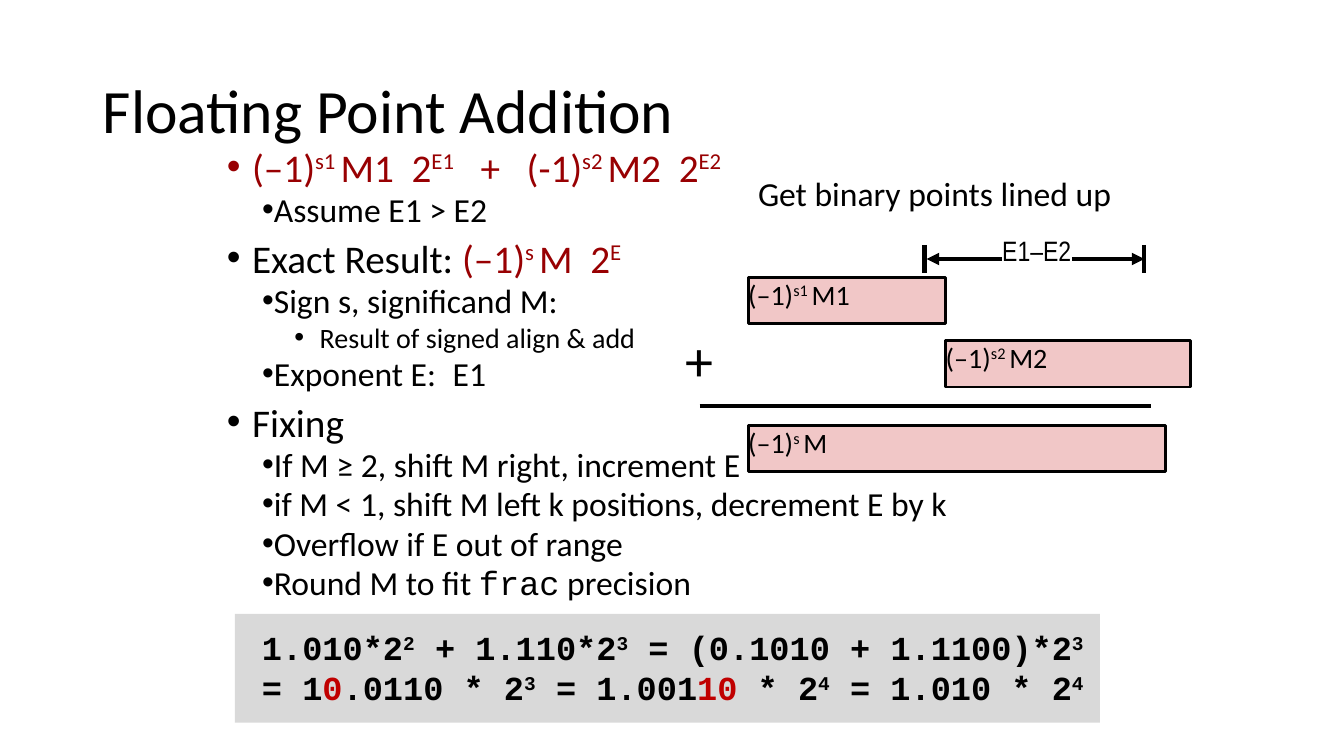
from lxml import etree
from pptx import Presentation
from pptx.dml.color import RGBColor
from pptx.enum import shapes, text
from pptx.oxml import ns
from pptx.util import Inches, Pt

BLACK = RGBColor(0x00, 0x00, 0x00)
WHITE = RGBColor(0xFF, 0xFF, 0xFF)
MAROON = RGBColor(0x98, 0x00, 0x02)
RED = RGBColor(0xC0, 0x00, 0x00)
PINK = RGBColor(0xF1, 0xC7, 0xC7)
GRAY = RGBColor(0xD9, 0xD9, 0xD9)
SANS, NARROW, MONO = "Calibri", "Arial Narrow", "Courier New"

UP = {"raised": 32}
POWER = {"raised": 30}
FORMULA = {"color": MAROON}
FORMULA_UP = {"color": MAROON, "raised": 32}
CARRY = {"color": RED}

TITLE = "Floating Point Addition"
OUTLINE = [
    (0, [("(–1)", FORMULA), ("s1 ", FORMULA_UP), ("M1  2", FORMULA), ("E1", FORMULA_UP),
         ("   +   (-1)", FORMULA), ("s2 ", FORMULA_UP), ("M2  2", FORMULA), ("E2", FORMULA_UP)]),
    (1, [("Assume E1 > E2", {})]),
    (0, [("Exact Result: ", {}), ("(–1)", FORMULA), ("s ", FORMULA_UP),
         ("M  2", FORMULA), ("E", FORMULA_UP)]),
    (1, [("Sign s, significand M:", {})]),
    (2, [("Result of signed align & add", {})]),
    (1, [("Exponent E: \tE1", {})]),
    (0, [("Fixing", {})]),
    (1, [("If M ≥ 2, shift M right, increment E", {})]),
    (1, [("if M < 1, shift M left k positions, decrement E by k", {})]),
    (1, [("Overflow if E out of range", {})]),
    (1, [("Round M to fit ", {}), ("frac", {"font": MONO}), (" precision", {})]),
]
EXAMPLE = [
    [("1.010*2", {}), ("2", POWER), (" + 1.110*2", {}), ("3", POWER),
     (" = (0.1010 + 1.1100)*2", {}), ("3", POWER)],
    [("= 1", {}), ("0", CARRY), (".0110 * 2", {}), ("3", POWER), (" = 1.001", {}),
     ("10", CARRY), (" * 2", {}), ("4", POWER), (" = 1.010 * 2", {}), ("4", POWER)],
]
OPERANDS = [
    (7.42, 2.75, 1.96, "s1 ", "M1"),
    (9.38, 3.38, 2.43, "s2 ", "M2"),
    (7.42, 4.22, 4.14, "s ", "M"),
]
LEVELS = [(28, 0.25, -0.25, 10), (24, 0.35, 0, 5), (20, 0.92, -0.25, 5)]
SHIFT_LEFT, SHIFT_RIGHT, SHIFT_Y, TICK = 9.17, 11.35, 2.57, 0.28
SUM_LINE = (6.94, 4.03, 11.42, 4.03)


def add_spans(para, spans, size, font=SANS, bold=False):
    for words, style in spans:
        span = para.add_run()
        span.text = words
        span.font.size = Pt(size)
        span.font.name = style.get("font", font)
        span.font.bold = bold
        span.font.color.rgb = style.get("color", BLACK)
        if "raised" in style:
            span._r.get_or_add_rPr().set("baseline", str(style["raised"] * 1000))


def add_part(parent, tag, **attributes):
    return etree.SubElement(parent, ns.qn(tag), attributes)


def indent(para, margin, first):
    properties = para._p.get_or_add_pPr()
    properties.set("marL", str(Inches(margin)))
    properties.set("indent", str(Inches(first)))
    return properties


def add_tab(properties, position):
    stops = add_part(properties, "a:tabLst")
    add_part(stops, "a:tab", pos=str(Inches(position)), algn="l")


def place(box, left, top, width, height):
    box.left, box.top = Inches(left), Inches(top)
    box.width, box.height = Inches(width), Inches(height)


def clear_margins(frame):
    frame.margin_left = frame.margin_right = frame.margin_top = frame.margin_bottom = 0


def add_rect(page, left, top, width, height, fill, outlined=False):
    box = page.shapes.add_shape(shapes.MSO_SHAPE.RECTANGLE, Inches(left), Inches(top),
                                Inches(width), Inches(height))
    box.shadow.inherit = False
    box.fill.solid()
    box.fill.fore_color.rgb = fill
    if outlined:
        box.line.color.rgb = BLACK
        box.line.width = Pt(2)
    else:
        box.line.fill.background()
    frame = box.text_frame
    clear_margins(frame)
    frame.vertical_anchor = text.MSO_ANCHOR.TOP
    frame.paragraphs[0].alignment = text.PP_ALIGN.LEFT
    return box


def add_label(page, left, top, width, height):
    frame = page.shapes.add_textbox(Inches(left), Inches(top), Inches(width),
                                    Inches(height)).text_frame
    frame.word_wrap = False
    frame.auto_size = text.MSO_AUTO_SIZE.SHAPE_TO_FIT_TEXT
    return frame


def add_line(page, x1, y1, x2, y2, arrows=False):
    line = page.shapes.add_connector(shapes.MSO_CONNECTOR.STRAIGHT, Inches(x1), Inches(y1),
                                     Inches(x2), Inches(y2))
    line.line.color.rgb = BLACK
    line.line.width = Pt(3)
    properties = line._element.spPr
    if arrows:
        stroke = properties.find(ns.qn("a:ln"))
        add_part(stroke, "a:headEnd", type="triangle")
        add_part(stroke, "a:tailEnd", type="triangle")
    add_part(properties, "a:effectLst")


def add_title(page):
    title = page.shapes.title
    place(title, 0.92, 0.4, 11.5, 1.45)
    title.text_frame.auto_size = text.MSO_AUTO_SIZE.NONE
    title.text_frame.vertical_anchor = text.MSO_ANCHOR.MIDDLE
    para = title.text_frame.paragraphs[0]
    para.alignment = text.PP_ALIGN.LEFT
    para.line_spacing = 0.9
    indent(para, 0.13, -0.13)
    add_spans(para, [(TITLE, {})], 44)


def add_outline(page):
    body = page.placeholders[1]
    place(body, 2.15, 1.46, 9.17, 4.75)
    frame = body.text_frame
    frame.auto_size = text.MSO_AUTO_SIZE.NONE
    for number, (level, spans) in enumerate(OUTLINE):
        para = frame.add_paragraph() if number else frame.paragraphs[0]
        size, margin, first, before = LEVELS[level]
        para.level = level
        para.line_spacing = 0.8
        para.space_before = Pt(before)
        properties = indent(para, margin, first)
        add_part(properties, "a:buFont", typeface="Arial")
        add_part(properties, "a:buChar", char="•")
        add_tab(properties, 2.24)
        add_spans(para, spans, size)


def add_diagram(page):
    for left, top, width, exponent, significand in OPERANDS:
        box = add_rect(page, left, top, width, 0.46, PINK, outlined=True)
        add_spans(box.text_frame.paragraphs[0],
                  [("(–1)", {}), (exponent, UP), (significand, {})], 20)
    for x in (SHIFT_LEFT, SHIFT_RIGHT):
        add_line(page, x, SHIFT_Y - TICK / 2, x, SHIFT_Y + TICK / 2)
    add_line(page, SHIFT_LEFT + 0.02, SHIFT_Y, SHIFT_RIGHT, SHIFT_Y, arrows=True)
    shift = add_rect(page, 9.94, 2.32, 0.69, 0.34, WHITE).text_frame
    shift.word_wrap = False
    shift.auto_size = text.MSO_AUTO_SIZE.SHAPE_TO_FIT_TEXT
    add_spans(shift.paragraphs[0], [("E1–E2", {})], 20, NARROW)
    plus = add_label(page, 6.8, 3.23, 0.28, 0.67)
    clear_margins(plus)
    add_spans(plus.paragraphs[0], [("+", {})], 40)
    add_line(page, *SUM_LINE)
    caption = add_label(page, 7.42, 1.67, 3.77, 0.5)
    add_spans(caption.paragraphs[0], [("Get binary points lined up", {})], 24)


def add_example(page):
    add_rect(page, 2.33, 6.09, 8.58, 1.08, GRAY)
    frame = add_label(page, 2.5, 6.17, 8.67, 0.91)
    for number, spans in enumerate(EXAMPLE):
        para = frame.add_paragraph() if number else frame.paragraphs[0]
        add_tab(para._p.get_or_add_pPr(), 2.06)
        add_spans(para, spans, 24, MONO, bold=True)


def main():
    deck = Presentation()
    deck.slide_width, deck.slide_height = Inches(13.33), Inches(7.5)
    page = deck.slides.add_slide(deck.slide_layouts[1])
    add_title(page)
    add_outline(page)
    add_diagram(page)
    add_example(page)
    deck.save("out.pptx")


if __name__ == "__main__":
    main()
